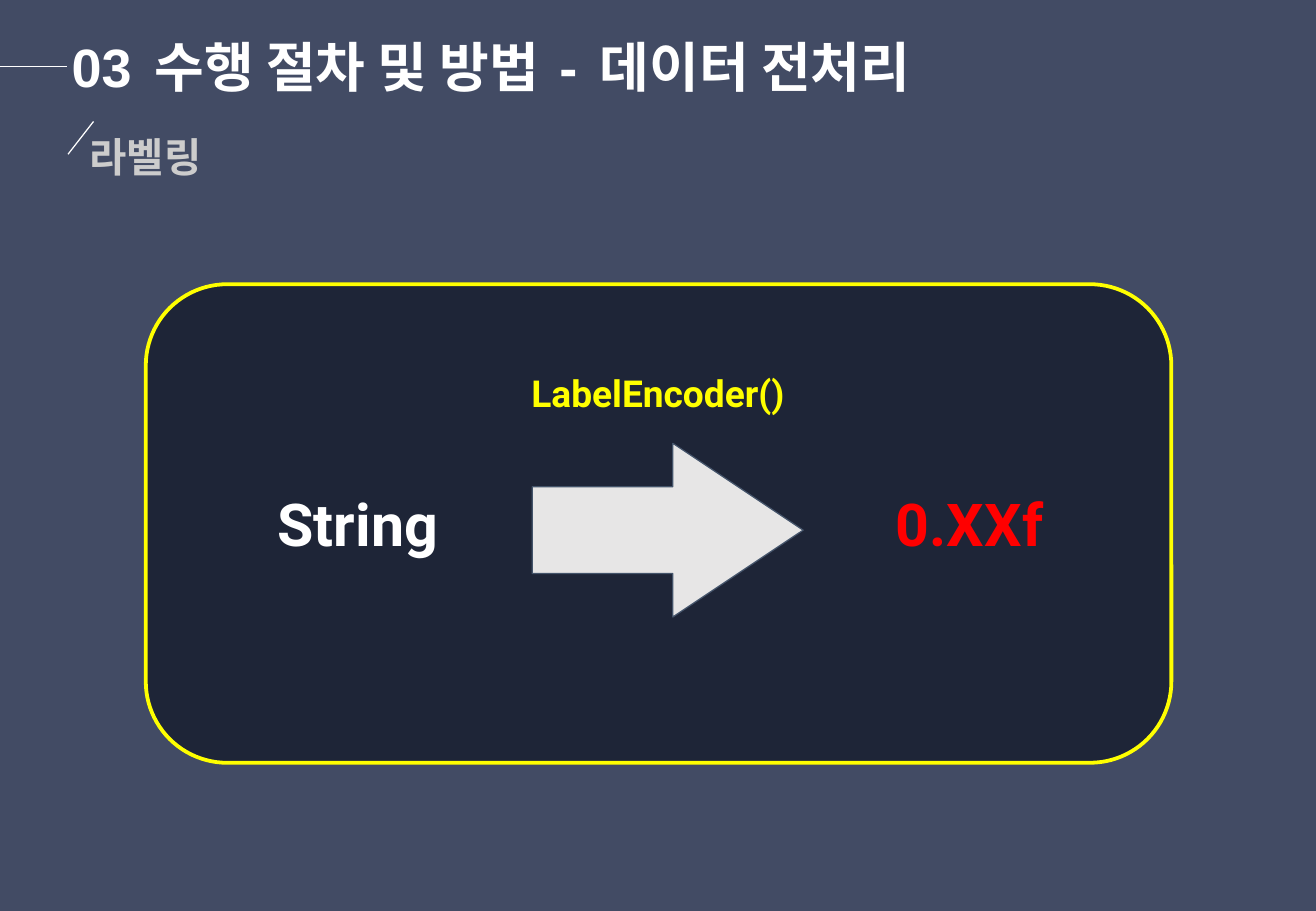
"""Build the label-encoding slide on data preprocessing."""
from dataclasses import dataclass

from lxml import etree
from pptx import Presentation
from pptx.dml.color import RGBColor
from pptx.enum.shapes import MSO_CONNECTOR, MSO_SHAPE
from pptx.enum.text import MSO_ANCHOR, MSO_AUTO_SIZE, PP_ALIGN
from pptx.oxml.ns import qn
from pptx.slide import Slide
from pptx.util import Inches, Pt

STRAIGHT = MSO_CONNECTOR.STRAIGHT
RECTANGLE = MSO_SHAPE.RECTANGLE
ROUNDED, ARROW = MSO_SHAPE.ROUNDED_RECTANGLE, MSO_SHAPE.RIGHT_ARROW
TOP, MIDDLE = MSO_ANCHOR.TOP, MSO_ANCHOR.MIDDLE
NO_FIT, GROW = MSO_AUTO_SIZE.NONE, MSO_AUTO_SIZE.SHAPE_TO_FIT_TEXT
LEFT, CENTER = PP_ALIGN.LEFT, PP_ALIGN.CENTER

COLORS = {
    "background": "424B64",
    "panel": "1E2537",
    "yellow": "FFFF00",
    "white": "FFFFFF",
    "gray": "CCCCCC",
    "red": "FF0000",
    "arrow": "E7E6E6",
    "arrow_line": "44546A",
}
WIDTH, HEIGHT = 10.83, 7.5
TITLE_PARTS = ["03", "수행 절차 및 방법", "-", "데이터 전처리"]
GAP_SPACING = 445


@dataclass
class Label:
    text: str
    box: tuple[float, float, float, float]
    size: float
    color: str
    font: str = "Roboto"
    align: PP_ALIGN = CENTER
    margin: float = 0.1
    line_spacing: float = 1.0


@dataclass
class Block:
    kind: MSO_SHAPE
    box: tuple[float, float, float, float]
    fill: str
    line: str = ""
    width: float = 0
    adjustments: tuple[float, ...] = ()


@dataclass
class Rule:
    start: tuple[float, float]
    end: tuple[float, float]


BACKDROP = Block(RECTANGLE, (0, 0, WIDTH, HEIGHT), "background")
RULES = [Rule((0, 0.55), (0.55, 0.55)), Rule((0.77, 1), (0.56, 1.27))]
BLOCKS = [
    Block(ROUNDED, (1.2, 2.34, 8.44, 3.94), "panel", "yellow", 2.25, (0.17,)),
    Block(ARROW, (4.38, 3.65, 2.23, 1.43), "arrow", "arrow_line", 0.75, (0.5, 0.75)),
]
LABELS = [
    Label("라벨링", (0.64, 1.04, 6.34, 0.51), 24, "gray", "Arial", LEFT, 0.05),
    Label("String", (2, 3.91, 1.89, 0.79), 35, "white"),
    Label("0.XXf", (7.1, 3.91, 1.76, 0.79), 35, "red"),
    Label("LabelEncoder()", (3.81, 2.77, 3.21, 0.57), 22, "yellow", line_spacing=1.5),
]


def rgb(name: str) -> RGBColor:
    """Return the named colour."""
    return RGBColor.from_string(COLORS[name])


def format_run(r, font: str, size: float, color: str) -> None:
    """Make a run bold in the given font, size and colour."""
    r.font.name = font
    r.font.size = Pt(size)
    r.font.bold = True
    r.font.color.rgb = rgb(color)


def set_title(s: Slide) -> None:
    """Place the title and widen the gaps between its parts."""
    sp = s.shapes.title
    sp.left, sp.top, sp.width, sp.height = map(Inches, (0.49, 0.22, 8.26, 0.64))
    tf = sp.text_frame
    tf.auto_size = NO_FIT
    tf.vertical_anchor = MIDDLE
    p = tf.paragraphs[0]
    p.alignment = LEFT
    for i, part in enumerate(TITLE_PARTS):
        if i:
            gap = p.add_run()
            gap.text = " "
            format_run(gap, "Arial", 32, "white")
            gap.font._element.set("spc", str(GAP_SPACING))
        r = p.add_run()
        r.text = part
        format_run(r, "Arial", 32, "white")


def add_rule(s: Slide, rule: Rule) -> None:
    """Draw a thin white line."""
    sp = s.shapes.add_connector(STRAIGHT, *map(Inches, rule.start + rule.end))
    sp.line.color.rgb = rgb("white")
    sp.line.width = Pt(0.75)
    etree.SubElement(sp._element.spPr, qn("a:effectLst"))


def add_block(s: Slide, block: Block):
    """Draw a filled shape, outlined if it has a line colour."""
    sp = s.shapes.add_shape(block.kind, *map(Inches, block.box))
    for i, value in enumerate(block.adjustments):
        sp.adjustments[i] = value
    sp.shadow.inherit = False
    sp.fill.solid()
    sp.fill.fore_color.rgb = rgb(block.fill)
    if block.line:
        sp.line.color.rgb = rgb(block.line)
        sp.line.width = Pt(block.width)
    else:
        sp.line.fill.background()
    return sp


def add_label(s: Slide, label: Label) -> None:
    """Draw a one-line text box."""
    tf = s.shapes.add_textbox(*map(Inches, label.box)).text_frame
    tf.word_wrap = True
    tf.auto_size = GROW
    tf.vertical_anchor = TOP
    tf.margin_top = tf.margin_bottom = Inches(label.margin)
    p = tf.paragraphs[0]
    p.text = label.text
    p.alignment = label.align
    p.line_spacing = label.line_spacing
    format_run(p.runs[0], label.font, label.size, label.color)


def main() -> None:
    """Build and save the slide."""
    prs = Presentation()
    prs.slide_width, prs.slide_height = Inches(WIDTH), Inches(HEIGHT)
    s = prs.slides.add_slide(prs.slide_layouts[5])
    set_title(s)
    backdrop = add_block(s, BACKDROP)
    s.shapes.title._element.addprevious(backdrop._element)
    for rule in RULES:
        add_rule(s, rule)
    for block in BLOCKS:
        add_block(s, block)
    for label in LABELS:
        add_label(s, label)
    prs.save("out.pptx")


if __name__ == "__main__":
    main()
